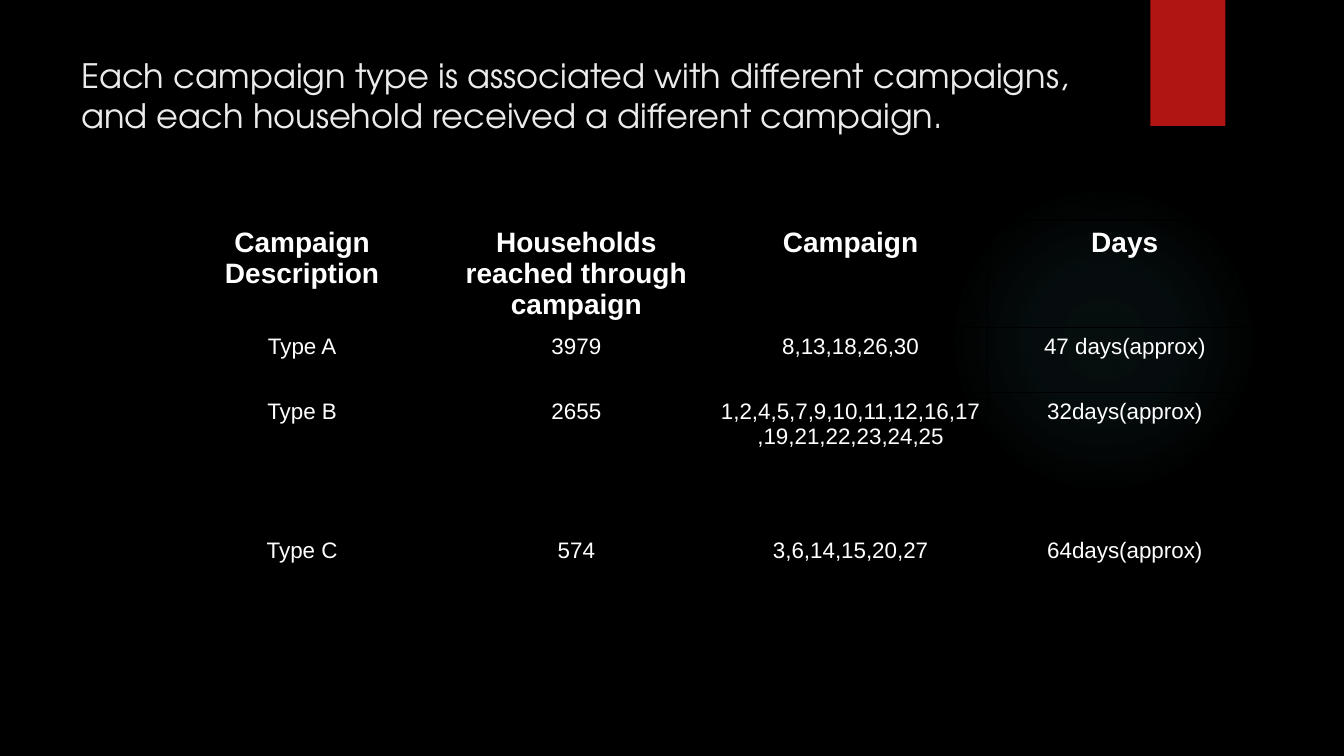
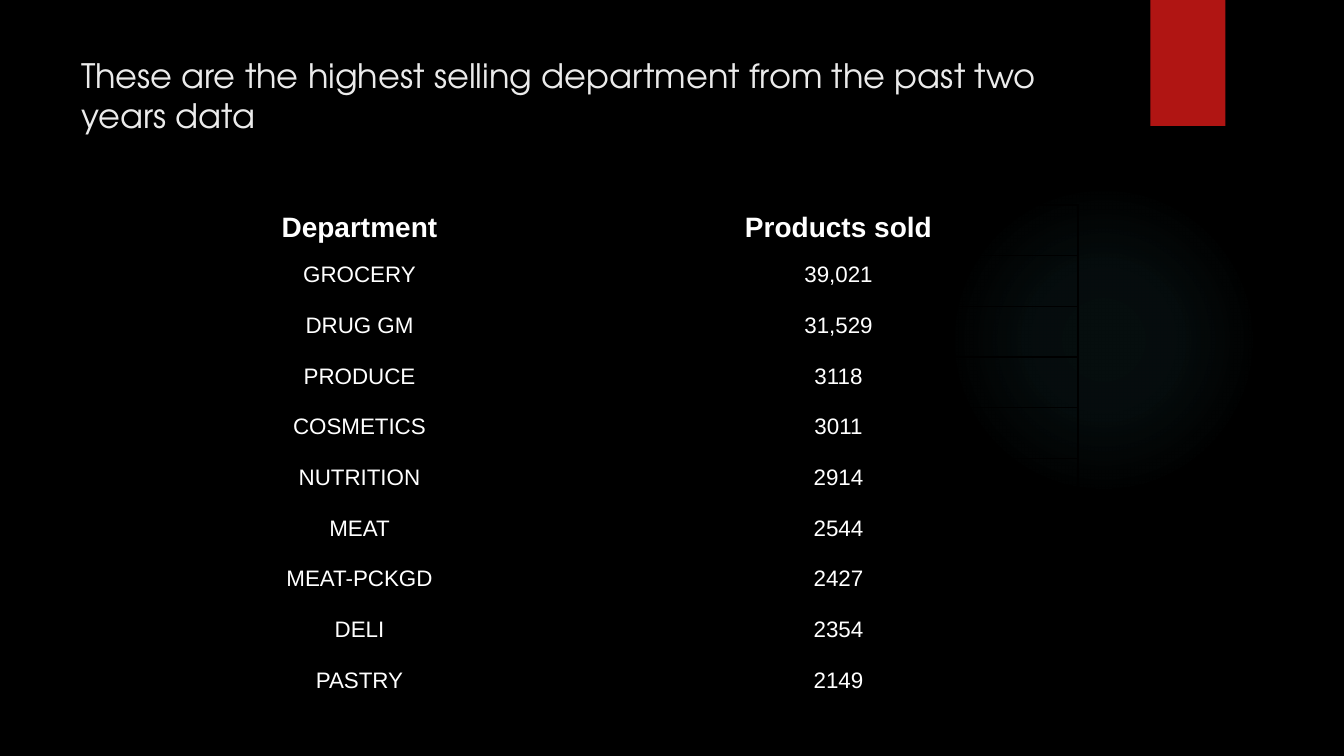
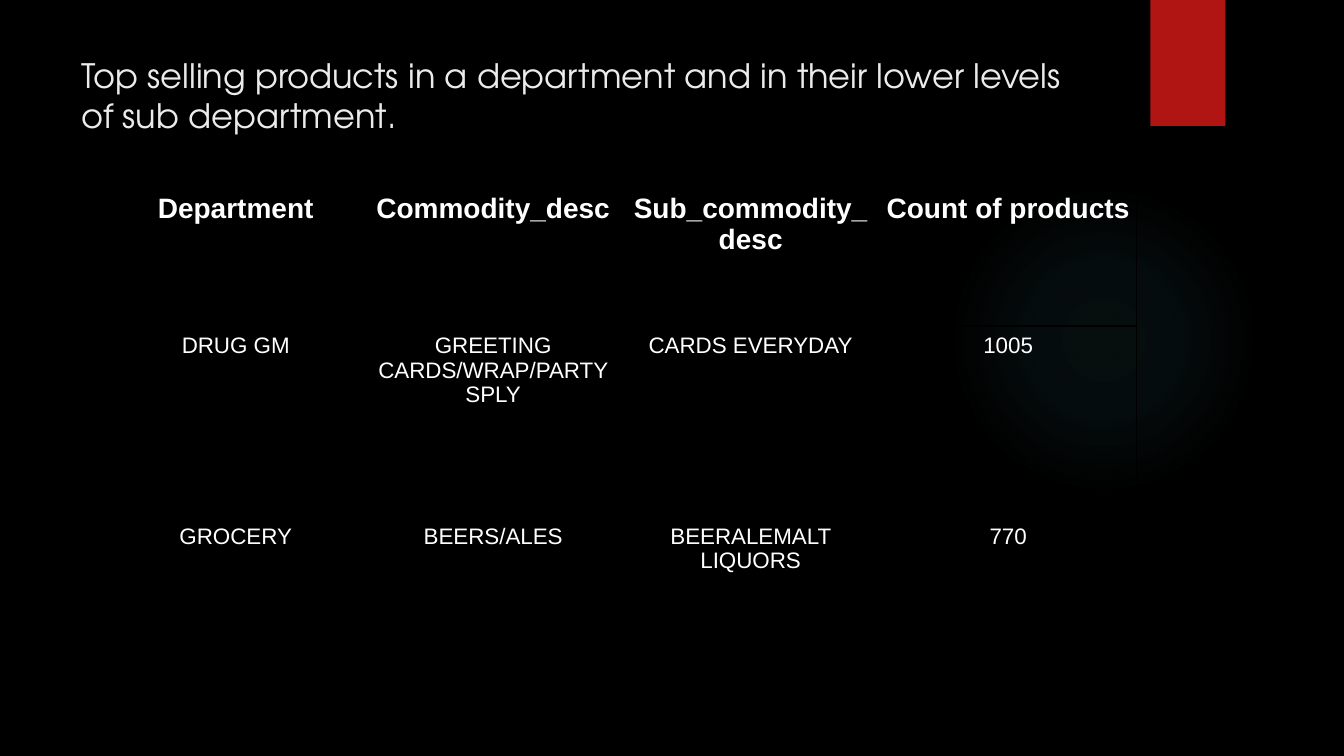
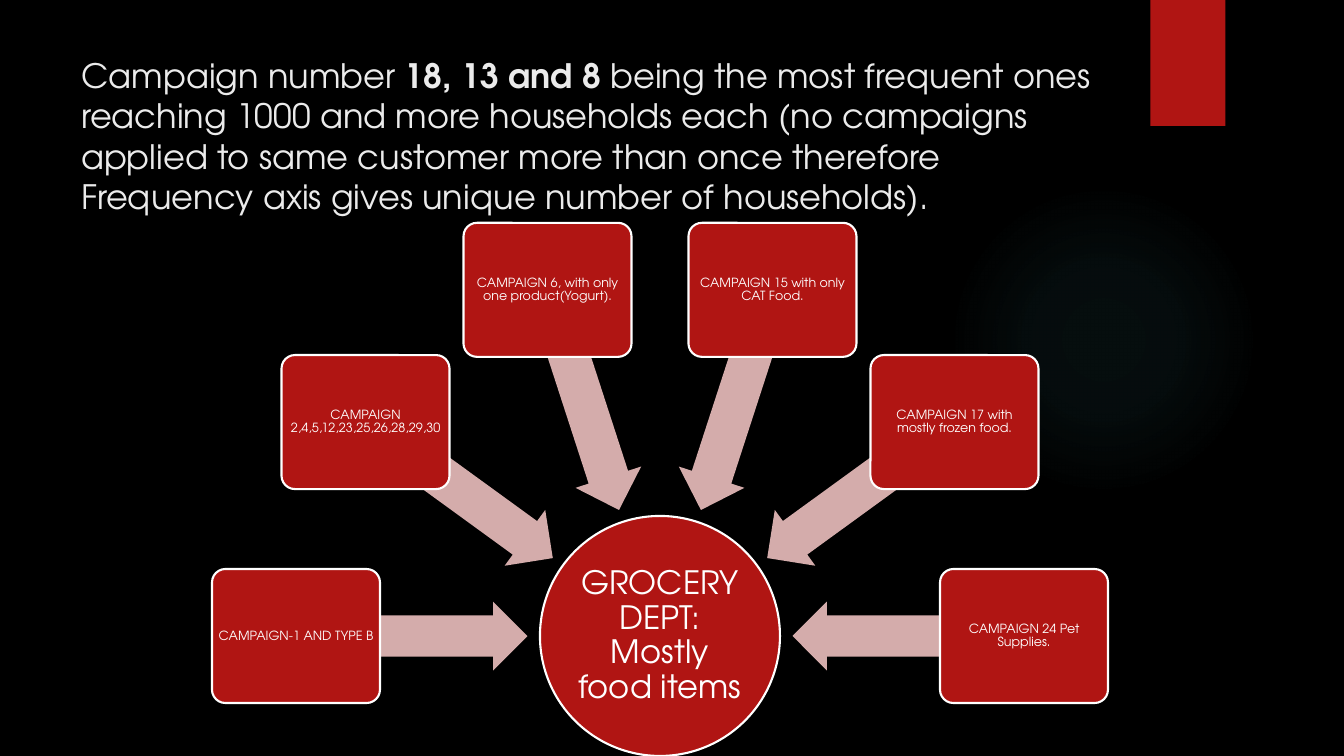
from dataclasses import dataclass
from math import cos, radians, sin

from lxml.etree import SubElement
from pptx import Presentation
from pptx.dml.color import RGBColor
from pptx.enum.shapes import MSO_SHAPE
from pptx.enum.text import MSO_ANCHOR, MSO_AUTO_SIZE, PP_ALIGN
from pptx.oxml import parse_xml
from pptx.oxml.ns import nsdecls, qn
from pptx.presentation import Presentation as Deck
from pptx.shapes.autoshape import Shape
from pptx.slide import Slide
from pptx.table import _Cell as Cell
from pptx.text.text import TextFrame
from pptx.util import Emu, Pt

WIDE, HIGH = 1344, 756
SCALE = 12192000 / WIDE

BLACK = RGBColor(0x00, 0x00, 0x00)
WHITE = RGBColor(0xFF, 0xFF, 0xFF)
PALE = RGBColor(0xEB, 0xEB, 0xEB)
RED = RGBColor(0xB0, 0x15, 0x13)
PINK = RGBColor(0xD4, 0xAC, 0xAB)
TEAL = RGBColor(0x50, 0xB9, 0xC1)

HEAD_FONT = "TeX Gyre Adventor"
GRID_FONT = "Arial"

GLOW_STOPS = ((0, 7), (36, 6), (69, 0))  # place and opacity, in percent


@dataclass(frozen=True)
class Grid:
    title: str
    box: tuple[int, int, int, int]
    cells: tuple[tuple[str, ...], ...]
    rows: tuple[int, ...] = ()  # equal heights when empty


GRIDS = (
    Grid(
        "Each campaign type is associated with different campaigns, "
        "and each household received a different campaign.",
        (165, 220, 1097, 371),
        (
            ("Campaign Description", "Households reached through campaign", "Campaign", "Days"),
            ("Type A", "3979", "8,13,18,26,30", "47 days(approx)"),
            ("Type B", "2655", "1,2,4,5,7,9,10,11,12,16,17,19,21,22,23,24,25", "32days(approx)"),
            ("Type C", "574", "3,6,14,15,20,27", "64days(approx)"),
        ),
        (102, 65, 139, 65),
    ),
    Grid(
        "These are the highest selling department from the past two years data",
        (120, 205, 958, 507),
        (
            ("Department", "Products sold"),
            ("GROCERY", "39,021"),
            ("DRUG GM", "31,529"),
            ("PRODUCE", "3118"),
            ("COSMETICS", "3011"),
            ("NUTRITION", "2914"),
            ("MEAT", "2544"),
            ("MEAT-PCKGD", "2427"),
            ("DELI", "2354"),
            ("PASTRY", "2149"),
        ),
    ),
    Grid(
        "Top selling products in a department and in their lower levels of sub department.",
        (107, 186, 1030, 471),
        (
            ("Department", "Commodity_desc", "Sub_commodity_desc", "Count of products"),
            ("DRUG GM", "GREETING CARDS/WRAP/PARTY SPLY", "CARDS EVERYDAY", "1005"),
            ("GROCERY", "BEERS/ALES", "BEERALEMALT LIQUORS", "770"),
        ),
        (140, 191, 140),
    ),
)

HUB_TITLE = (
    "Campaign number *18, 13 and 8* being the most frequent ones reaching 1000 "
    "and more households each (no campaigns applied to same customer more than "
    "once therefore Frequency axis gives unique number of households)."
)
HUB_TEXT = "GROCERY DEPT: Mostly food items"
NODES = (
    "CAMPAIGN-1 AND TYPE B",
    "CAMPAIGN 2,4,5,12,23,25,26,28,29,30",
    "CAMPAIGN 6, with only one product(Yogurt).",
    "CAMPAIGN 15 with only CAT Food.",
    "CAMPAIGN 17 with mostly frozen food.",
    "CAMPAIGN 24 Pet Supplies.",
)
HUB_X, HUB_Y = 660, 636
NODE_REACH, ARROW_REACH = 364, 248


def px(count: float) -> Emu:
    return Emu(round(count * SCALE))


def add_form(slide: Slide, kind: MSO_SHAPE, x: float, y: float, w: int, h: int,
             fill: RGBColor) -> Shape:
    """Add a flat shape without outline, centred on x, y."""
    form = slide.shapes.add_shape(kind, px(x - w / 2), px(y - h / 2), px(w), px(h))
    form.shadow.inherit = False
    form.fill.solid()
    form.fill.fore_color.rgb = fill
    form.line.fill.background()
    return form


def set_pad(part: TextFrame | Cell, pad: int) -> None:
    part.margin_left = part.margin_right = part.margin_top = part.margin_bottom = px(pad)


def add_label(form: Shape, text: str, size: int) -> None:
    """Outline the shape in white and centre the text in it."""
    form.line.color.rgb = WHITE
    form.line.width = Pt(1.5)
    frame = form.text_frame
    frame.word_wrap = True
    frame.vertical_anchor = MSO_ANCHOR.MIDDLE
    set_pad(frame, 2)
    para = frame.paragraphs[0]
    para.text = text
    para.alignment = PP_ALIGN.CENTER
    para.line_spacing = 0.9
    para.font.name = HEAD_FONT
    para.font.size = Pt(size)
    para.font.color.rgb = WHITE


def set_glow(form: Shape) -> None:
    """Replace the fill with a radial gradient that fades out."""
    stops = "".join(
        f'<a:gs pos="{place * 1000}"><a:srgbClr val="{TEAL}">'
        f'<a:alpha val="{alpha * 1000}"/></a:srgbClr></a:gs>'
        for place, alpha in GLOW_STOPS
    )
    glow = parse_xml(
        f'<a:gradFill {nsdecls("a")} rotWithShape="1"><a:gsLst>{stops}</a:gsLst>'
        '<a:path path="circle"><a:fillToRect l="50000" t="50000" r="50000" b="50000"/>'
        "</a:path></a:gradFill>"
    )
    props = form.element.spPr
    props.replace(props.find(qn("a:solidFill")), glow)


def dress_master(deck: Deck, slide: Slide) -> None:
    """Give the master its background, glow and band, drawn by way of a slide."""
    master = deck.slide_master
    back = master.background.fill
    back.solid()
    back.fore_color.rgb = BLACK
    glow = add_form(slide, MSO_SHAPE.OVAL, 1104, 340, 310, 310, TEAL)
    set_glow(glow)
    band = add_form(slide, MSO_SHAPE.RECTANGLE, 1188, 63, 75, 126, RED)
    for spot, form in enumerate((glow, band), start=2):
        form.element.nvSpPr.cNvPr.id = 20 + spot
        master.shapes.element.insert(spot, form.element)


def set_title(slide: Slide, text: str) -> None:
    """Fill the title; words between asterisks are bold."""
    title = slide.shapes.title
    title.left, title.top, title.width, title.height = map(px, (71, 50, 1037, 154))
    frame = title.text_frame
    frame.word_wrap = True
    frame.auto_size = MSO_AUTO_SIZE.NONE
    frame.vertical_anchor = MSO_ANCHOR.TOP
    para = frame.paragraphs[0]
    para.alignment = PP_ALIGN.LEFT
    para.font.name = HEAD_FONT
    para.font.size = Pt(24)
    para.font.color.rgb = PALE
    for spot, part in enumerate(text.split("*")):
        run = para.add_run()
        run.text = part
        if spot % 2:
            run.font.bold = True


def set_cell(cell: Cell, text: str, head: bool) -> None:
    props = cell._tc.get_or_add_tcPr()
    for side in ("lnL", "lnR", "lnT", "lnB"):
        line = SubElement(props, qn(f"a:{side}"), w=str(Pt(1)))
        SubElement(SubElement(line, qn("a:solidFill")), qn("a:srgbClr"), val=str(BLACK))
    cell.fill.background()
    set_pad(cell, 7)
    para = cell.text_frame.paragraphs[0]
    para.text = text
    para.alignment = PP_ALIGN.CENTER
    para.font.name = GRID_FONT
    para.font.size = Pt(20 if head else 16)
    para.font.bold = head
    para.font.color.rgb = WHITE


def add_grid(slide: Slide, grid: Grid) -> None:
    set_title(slide, grid.title)
    table = slide.shapes.add_table(
        len(grid.cells), len(grid.cells[0]), *map(px, grid.box)
    ).table
    table.first_row = table.horz_banding = False
    for row, high in zip(table.rows, grid.rows):
        row.height = px(high)
    for r, texts in enumerate(grid.cells):
        for c, text in enumerate(texts):
            set_cell(table.cell(r, c), text, head=r == 0)


def add_hub(slide: Slide) -> None:
    """Draw the circle with its campaigns on an arc, arrows pointing in."""
    set_title(slide, HUB_TITLE)
    hub = add_form(slide, MSO_SHAPE.OVAL, HUB_X, HUB_Y, 240, 240, RED)
    add_label(hub, HUB_TEXT, 23)
    step = 180 / (len(NODES) - 1)
    for spot, text in enumerate(NODES):
        turn = 180 + spot * step
        dx, dy = cos(radians(turn)), sin(radians(turn))
        arrow = add_form(slide, MSO_SHAPE.LEFT_ARROW, HUB_X + ARROW_REACH * dx,
                         HUB_Y + ARROW_REACH * dy, 231, 69, PINK)
        arrow.adjustments[0] = 0.6
        arrow.adjustments[1] = 0.5
        arrow.rotation = turn % 360
        node = add_form(slide, MSO_SHAPE.ROUNDED_RECTANGLE, HUB_X + NODE_REACH * dx,
                        HUB_Y + NODE_REACH * dy, 168, 134, RED)
        node.adjustments[0] = 0.1
        add_label(node, text, 9)


def main() -> None:
    deck = Presentation()
    deck.slide_width, deck.slide_height = px(WIDE), px(HIGH)
    layout = deck.slide_layouts.get_by_name("Title Only")
    slides = [deck.slides.add_slide(layout) for _ in range(len(GRIDS) + 1)]
    dress_master(deck, slides[0])
    for slide, grid in zip(slides, GRIDS):
        add_grid(slide, grid)
    add_hub(slides[-1])
    deck.save("out.pptx")


if __name__ == "__main__":
    main()
